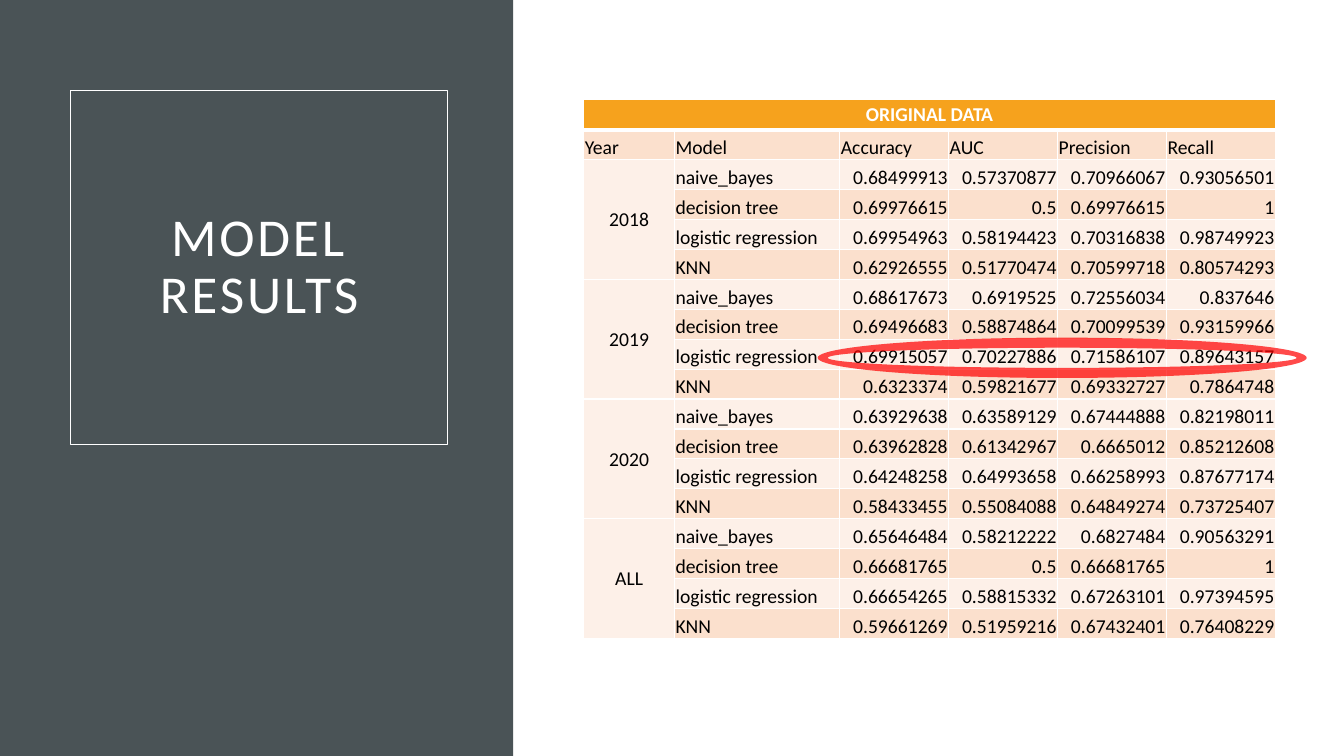
from dataclasses import dataclass
from typing import Any, NamedTuple

from lxml import etree
from pptx import Presentation
from pptx.dml.color import RGBColor
from pptx.enum.shapes import MSO_SHAPE
from pptx.enum.text import MSO_ANCHOR, MSO_AUTO_SIZE, PP_ALIGN
from pptx.oxml.ns import qn
from pptx.util import Inches, Pt

RECT, RING = MSO_SHAPE.RECTANGLE, MSO_SHAPE.DONUT
MID, LOW = MSO_ANCHOR.MIDDLE, MSO_ANCHOR.BOTTOM
LEFT, CENTER, RIGHT = PP_ALIGN.LEFT, PP_ALIGN.CENTER, PP_ALIGN.RIGHT
TITLE_ONLY = 5


@dataclass(frozen=True)
class Theme:
    font: str = "Calibri"
    slate: str = "4A5356"
    white: str = "FFFFFF"
    black: str = "000000"
    amber: str = "F6A21D"
    dark: str = "FBE0CD"
    light: str = "FDF0E8"
    red: str = "FF0000"
    title: int = 38
    cell: int = 14
    rule: int = 1
    heavy: int = 3


class Box(NamedTuple):
    """Place in grid columns and rows."""
    col: float
    row: float
    wide: float
    high: float


class Mark(NamedTuple):
    box: Box
    kind: Any
    color: str


class Year(NamedTuple):
    label: str
    scores: list[tuple[float, ...]]


THEME = Theme()
WIDE, HIGH = Inches(13.33), Inches(7.5)
COL, ROW = WIDE / 133.3, HIGH / 75

PANEL = Mark(Box(0, 0, 50.9, 75), RECT, THEME.slate)
HALO = Mark(Box(81.1, 33.5, 48.5, 4), RING, THEME.red)
TITLE = Box(7, 9, 37.4, 35.1)
GRID = Box(57.9, 9.9, 68.4, 53.5)
WIDTHS = [9, 16.4] + [10.8] * 4

HEADS = ["Year", "Model", "Accuracy", "AUC", "Precision", "Recall"]
MODELS = ["naive_bayes", "decision tree", "logistic regression", "KNN"]
YEARS = [
    Year("2018", [(0.68499913, 0.57370877, 0.70966067, 0.93056501),
                  (0.69976615, 0.5, 0.69976615, 1),
                  (0.69954963, 0.58194423, 0.70316838, 0.98749923),
                  (0.62926555, 0.51770474, 0.70599718, 0.80574293)]),
    Year("2019", [(0.68617673, 0.6919525, 0.72556034, 0.837646),
                  (0.69496683, 0.58874864, 0.70099539, 0.93159966),
                  (0.69915057, 0.70227886, 0.71586107, 0.89643157),
                  (0.6323374, 0.59821677, 0.69332727, 0.7864748)]),
    Year("2020", [(0.63929638, 0.63589129, 0.67444888, 0.82198011),
                  (0.63962828, 0.61342967, 0.6665012, 0.85212608),
                  (0.64248258, 0.64993658, 0.66258993, 0.87677174),
                  (0.58433455, 0.55084088, 0.64849274, 0.73725407)]),
    Year("ALL", [(0.65646484, 0.58212222, 0.6827484, 0.90563291),
                 (0.66681765, 0.5, 0.66681765, 1),
                 (0.66654265, 0.58815332, 0.67263101, 0.97394595),
                 (0.59661269, 0.51959216, 0.67432401, 0.76408229)]),
]


def put(item: Any, **values: Any) -> None:
    for name, value in values.items():
        setattr(item, name, value)


def place(box: Box) -> tuple[int, int, int, int]:
    """Turn grid units into slide lengths."""
    return (round(box.col * COL), round(box.row * ROW),
            round(box.wide * COL), round(box.high * ROW))


def paint(fill: Any, color: str) -> None:
    fill.solid()
    fill.fore_color.rgb = RGBColor.from_string(color)


def style(font: Any, size: int, color: str, bold: bool = False) -> None:
    put(font, name=THEME.font, size=Pt(size), bold=bold)
    font.color.rgb = RGBColor.from_string(color)


def draw(slide: Any, mark: Mark) -> Any:
    shape = slide.shapes.add_shape(mark.kind, *place(mark.box))
    shape.shadow.inherit = False
    paint(shape.fill, mark.color)
    shape.line.fill.background()
    return shape


def fade(shape: Any, share: int) -> None:
    """Set the fill's opacity in percent."""
    tint = shape.element.spPr.find(".//" + qn("a:srgbClr"))
    etree.SubElement(tint, qn("a:alpha"), val=str(share * 1000))


def head(slide: Any) -> Any:
    title = slide.shapes.title
    left, top, width, height = place(TITLE)
    put(title, left=left, top=top, width=width, height=height)
    paint(title.line.fill, THEME.white)
    title.line.width = Pt(0.75)
    frame = title.text_frame
    put(frame, text="MODEL RESULTS", word_wrap=True, vertical_anchor=MID,
        auto_size=MSO_AUTO_SIZE.NONE,
        margin_left=Inches(0.3), margin_right=Inches(0.3),
        margin_top=Inches(0.2), margin_bottom=Inches(0.2))
    para = frame.paragraphs[0]
    put(para, alignment=CENTER, line_spacing=0.9, space_after=Pt(6))
    run = para.runs[0]
    style(run.font, THEME.title, THEME.white)
    run.font._element.set("spc", "200")
    return title


def edge(cell: Any, row: int) -> None:
    """Draw white cell borders, heavier below the banner."""
    props = cell._tc.get_or_add_tcPr()
    for side in "LRTB":
        thick = (row, side) in {(0, "B"), (1, "T")}
        width = Pt(THEME.heavy if thick else THEME.rule)
        line = etree.SubElement(props, qn("a:ln" + side), w=str(width))
        fill = etree.SubElement(line, qn("a:solidFill"))
        etree.SubElement(fill, qn("a:srgbClr"), val=THEME.white)


def write(cell: Any, text: str, row: int, col: int) -> None:
    banner = row == 0
    middle = banner or (col == 0 and row > 1)
    put(cell, text=text, vertical_anchor=MID if middle else LOW,
        margin_left=Inches(0.01), margin_right=Inches(0.01),
        margin_top=Inches(0.01), margin_bottom=0)
    edge(cell, row)
    band = THEME.dark if row % 2 else THEME.light
    paint(cell.fill, THEME.amber if banner else band)
    para = cell.text_frame.paragraphs[0]
    score = row > 1 and col > 1
    para.alignment = CENTER if middle else RIGHT if score else LEFT
    color = THEME.white if banner else THEME.black
    for run in para.runs:
        style(run.font, THEME.cell, color, banner)


def lines() -> list[list[str]]:
    """List the table's text row by row."""
    rows = [["ORIGINAL DATA"] + [""] * (len(HEADS) - 1), HEADS]
    for year in YEARS:
        for step, (model, scores) in enumerate(zip(MODELS, year.scores)):
            label = "" if step else year.label
            rows.append([label, model, *map(str, scores)])
    return rows


def chart(slide: Any) -> None:
    """Build the table of scores."""
    rows = lines()
    table = slide.shapes.add_table(len(rows), len(HEADS), *place(GRID)).table
    put(table, first_row=False, horz_banding=False)
    for column, width in zip(table.columns, WIDTHS):
        column.width = round(width * COL)
    for row, texts in enumerate(rows):
        table.rows[row].height = round(GRID.high / len(rows) * ROW)
        for col, text in enumerate(texts):
            write(table.cell(row, col), text, row, col)
    table.cell(0, 0).merge(table.cell(0, len(HEADS) - 1))
    span = len(MODELS)
    for top in range(2, len(rows), span):
        table.cell(top, 0).merge(table.cell(top + span - 1, 0))


def main() -> None:
    deck = Presentation()
    put(deck, slide_width=WIDE, slide_height=HIGH)
    slide = deck.slides.add_slide(deck.slide_layouts[TITLE_ONLY])
    panel = draw(slide, PANEL)
    head(slide).element.addprevious(panel.element)
    chart(slide)
    fade(draw(slide, HALO), 71)
    deck.save("out.pptx")


if __name__ == "__main__":
    main()
